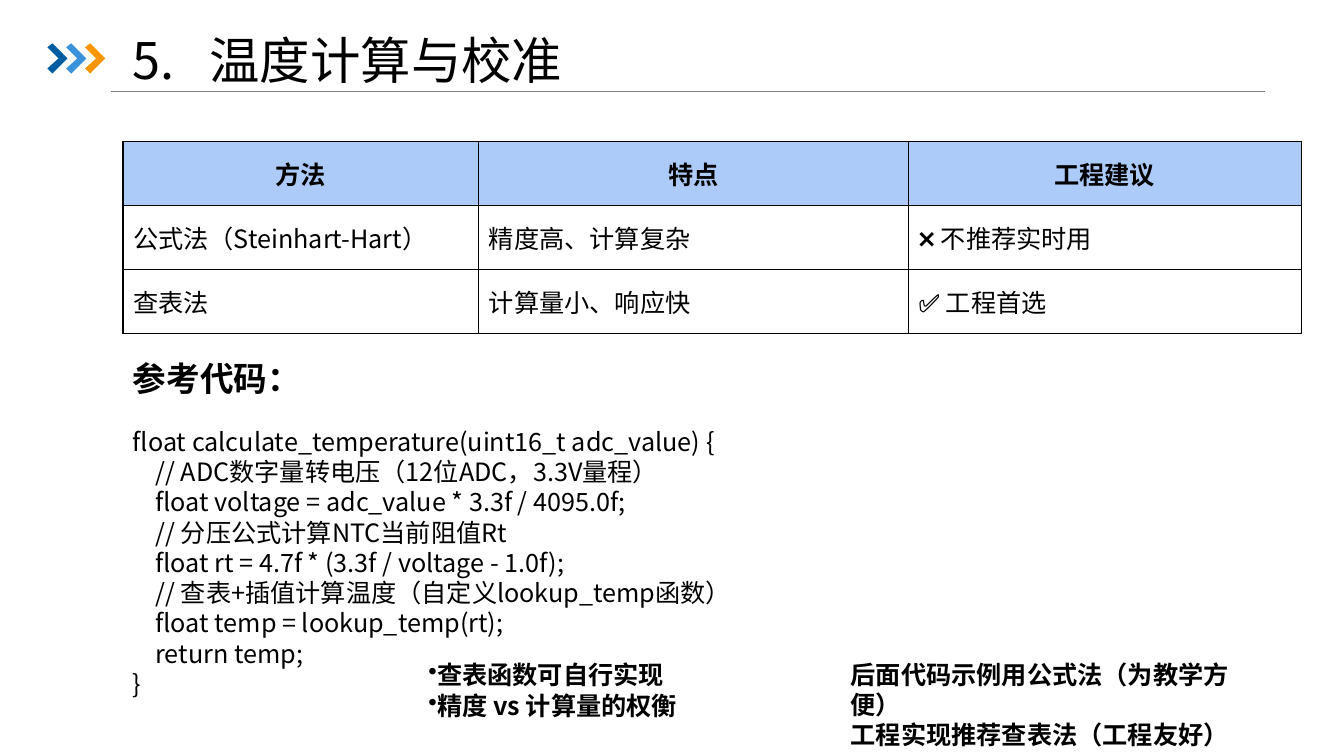
import pptx
import pptx.util
import pptx.dml.color
import pptx.enum.shapes
import pptx.enum.text
import pptx.oxml.ns
from lxml import etree

# Content
TITLE = "5.\t温度计算与校准"
HEAD = "参考代码："
TABLE = [
    ("方法", "特点", "工程建议"),
    ("公式法（Steinhart-Hart）", "精度高、计算复杂", "❌ 不推荐实时用"),
    ("查表法", "计算量小、响应快", "✅ 工程首选"),
]
CODE = """float calculate_temperature(uint16_t adc_value) {
    // ADC数字量转电压（12位ADC，3.3V量程）
    float voltage = adc_value * 3.3f / 4095.0f;
    // 分压公式计算NTC当前阻值Rt
    float rt = 4.7f * (3.3f / voltage - 1.0f);
    // 查表+插值计算温度（自定义lookup_temp函数）
    float temp = lookup_temp(rt);
    return temp;
}""".split("\n")
POINTS = ["查表函数可自行实现", "精度 vs 计算量的权衡"]
NOTE = ["后面代码示例用公式法（为教学方便）\v工程实现推荐查表法（工程友好）"]

# Look
COLORS = {"text": "000000", "rule": "808080", "head": "ACCBF9", "body": "FFFFFF",
          "navy": "005DA2", "sky": "3992DB", "gold": "F79600"}
FONT = "Noto Sans CJK SC"
PLAIN = {"size": pptx.util.Pt(18), "bold": False}
BOLD = {**PLAIN, "bold": True}
BIG = {"size": pptx.util.Pt(36), "bold": False}
SUB = {"size": pptx.util.Pt(24), "bold": True}

# Grid: ten columns and ten rows to the inch
LEFT = 12.2
WIDTHS, ROW = (35.3, 42.6, 39), 6.37
ARROW = [(0, 0.4), (0.5, 0), (2, 1.5), (0.5, 3), (0, 2.5), (1.1, 1.5)]
STEP = 1.87
ANCHOR = pptx.enum.text.MSO_ANCHOR
FIT = pptx.enum.text.MSO_AUTO_SIZE


def grid(*cells):
    return [pptx.util.Inches(c / 10) for c in cells]


def tint(name):
    return pptx.dml.color.RGBColor.from_string(COLORS[name])


def add(parent, tag, **attrs):
    return etree.SubElement(parent, pptx.oxml.ns.qn("a:" + tag), attrs)


def write(para, text, style):
    para.text = text
    for run in para.runs:
        for key, val in style.items():
            setattr(run.font, key, val)
        run.font.color.rgb = tint("text")
        run.font.name = FONT
        add(run.font._element, "ea", typeface=FONT)


def box(slide, place, lines, style, **frame):
    body = slide.shapes.add_textbox(*grid(*place)).text_frame
    form = {"word_wrap": True, "auto_size": FIT.SHAPE_TO_FIT_TEXT, **frame}
    for key, val in form.items():
        setattr(body, key, val)
    for i, line in enumerate(lines):
        para = body.add_paragraph() if i else body.paragraphs[0]
        write(para, line, style)
    return body


def frame_cell(cell):
    props = cell._tc.get_or_add_tcPr()
    for side in "LRTB":
        line = add(props, "ln" + side, w="12700")
        add(add(line, "solidFill"), "srgbClr", val=COLORS["text"])


def draw_head(slide):
    # Rule and three chevrons
    rule = slide.shapes.add_connector(
        pptx.enum.shapes.MSO_CONNECTOR.STRAIGHT, *grid(11, 9.1, 125.5, 9.1))
    rule.line.color.rgb = tint("rule")
    rule.line.width = pptx.util.Pt(0.5)
    add(rule._element.spPr, "effectLst")
    for i, name in enumerate(("navy", "sky", "gold")):
        dots = [grid(4.7 + i * STEP + x, 4.3 + y) for x, y in ARROW]
        path = slide.shapes.build_freeform(*dots[0], scale=1.0)
        path.add_line_segments(dots[1:], close=True)
        mark = path.convert_to_shape()
        mark.shadow.inherit = False
        mark.fill.solid()
        mark.fill.fore_color.rgb = tint(name)
        mark.line.fill.background()

    # Title, with a tab after the number
    body = box(slide, (LEFT, 4.1, 115.1, 4.3), [TITLE], BIG,
               auto_size=FIT.NONE, vertical_anchor=ANCHOR.MIDDLE)
    para = body.paragraphs[0]
    para.line_spacing = 0.9
    stops = add(para._p.get_or_add_pPr(), "tabLst")
    add(stops, "tab", pos=str(grid(7.6)[0]), algn="l")


def draw_table(slide):
    place = grid(LEFT, 14, sum(WIDTHS), ROW * len(TABLE))
    table = slide.shapes.add_table(len(TABLE), len(WIDTHS), *place).table
    table.first_row = table.horz_banding = False
    for col, wide in zip(table.columns, grid(*WIDTHS)):
        col.width = wide
    for r, line in enumerate(TABLE):
        table.rows[r].height = grid(ROW)[0]
        for c, text in enumerate(line):
            cell = table.cell(r, c)
            frame_cell(cell)
            cell.fill.solid()
            cell.fill.fore_color.rgb = tint("body" if r else "head")
            cell.vertical_anchor = ANCHOR.MIDDLE
            para = cell.text_frame.paragraphs[0]
            if r == 0:
                para.alignment = pptx.enum.text.PP_ALIGN.CENTER
            write(para, text, PLAIN if r else BOLD)


def draw_text(slide):
    # Code and its heading
    box(slide, (LEFT, 41.8, 65, 28.3), CODE, PLAIN)
    box(slide, (LEFT, 35, 18.8, 5), [HEAD], SUB, word_wrap=False)

    # Bullets and closing note
    body = box(slide, (41.5, 64.9, 29.1, 7.1), POINTS, BOLD,
               vertical_anchor=ANCHOR.MIDDLE)
    for para in body.paragraphs:
        add(para._p.get_or_add_pPr(), "buChar", char="•")
    box(slide, (83.4, 64.9, 42.8, 7.1), NOTE, BOLD)


def main():
    deck = pptx.Presentation()
    deck.slide_width, deck.slide_height = grid(133.33, 75)
    slide = deck.slides.add_slide(deck.slide_layouts[6])
    draw_head(slide)
    draw_table(slide)
    draw_text(slide)
    deck.save("out.pptx")


if __name__ == "__main__":
    main()
